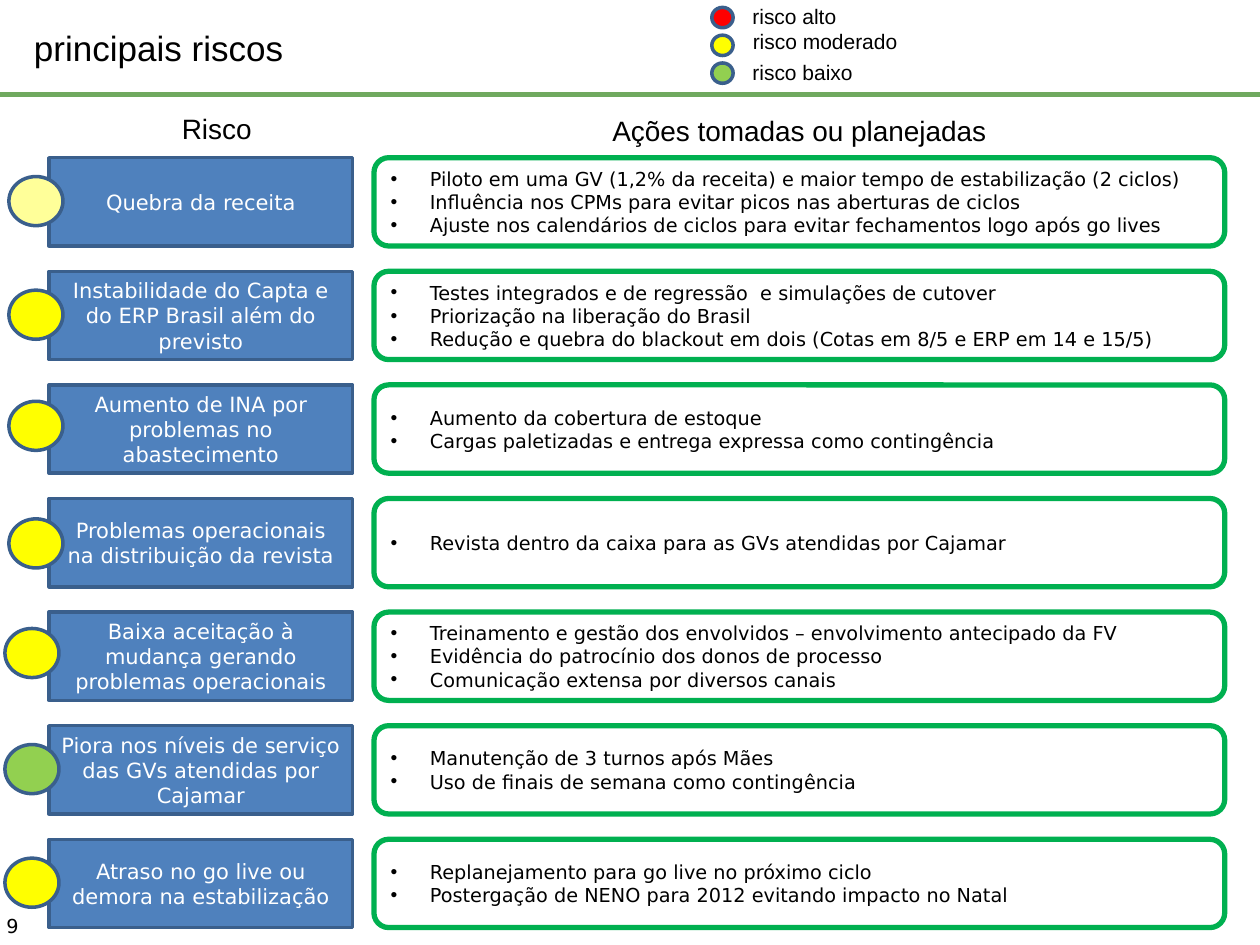
"""Builds the slide of main risks with the actions taken or planned for each."""
import pptx
import pptx.dml.color
import pptx.enum.shapes
import pptx.enum.text
import pptx.oxml
import pptx.oxml.ns
import pptx.util

Cm = pptx.util.Cm
RGBColor = pptx.dml.color.RGBColor
Shape = pptx.enum.shapes.MSO_SHAPE
Align = pptx.enum.text.PP_ALIGN
Anchor = pptx.enum.text.MSO_ANCHOR

BLACK = RGBColor(0x00, 0x00, 0x00)
WHITE = RGBColor(0xFF, 0xFF, 0xFF)
BLUE = RGBColor(0x4F, 0x81, 0xBD)
DARK_BLUE = RGBColor(0x3A, 0x5F, 0x8C)
GREEN = RGBColor(0x00, 0xB0, 0x50)
RULE_GREEN = RGBColor(0x70, 0xA9, 0x5F)
HIGH = RGBColor(0xFF, 0x00, 0x00)
MODERATE = RGBColor(0xFF, 0xFF, 0x00)
PALE_MODERATE = RGBColor(0xFF, 0xFF, 0x99)
LOW = RGBColor(0x92, 0xD0, 0x50)

HEADING_FONT = "Arial"
BODY_FONT = "DejaVu Sans"

FIRST_ROW_TOP, ROW_PITCH, ROW_HEIGHT = 3.18, 2.29, 1.78
RISK_LEFT, RISK_WIDTH = 0.99, 6.12
ACTIONS_LEFT, ACTIONS_WIDTH = 7.54, 17.15

# Each row: risk, level colour, marker left, marker offset from the row top, actions.
ROWS = [
    ("Quebra da receita", PALE_MODERATE, 0.18, 0.38, [
        "Piloto em uma GV (1,2% da receita) e maior tempo de estabilização (2 ciclos)",
        "Influência nos CPMs para evitar picos nas aberturas de ciclos",
        "Ajuste nos calendários de ciclos para evitar fechamentos logo após go lives"]),
    ("Instabilidade do Capta e do ERP Brasil além do previsto", MODERATE, 0.18, 0.38, [
        "Testes integrados e de regressão  e simulações de cutover",
        "Priorização na liberação do Brasil",
        "Redução e quebra do blackout em dois (Cotas em 8/5 e ERP em 14 e 15/5)"]),
    ("Aumento de INA por problemas no abastecimento", MODERATE, 0.18, 0.33, [
        "Aumento da cobertura de estoque",
        "Cargas paletizadas e entrega expressa como contingência"]),
    ("Problemas operacionais na distribuição da revista", MODERATE, 0.18, 0.41, [
        "Revista dentro da caixa para as GVs atendidas por Cajamar"]),
    ("Baixa aceitação à mudança gerando problemas operacionais", MODERATE, 0.1, 0.33, [
        "Treinamento e gestão dos envolvidos – envolvimento antecipado da FV",
        "Evidência do patrocínio dos donos de processo",
        "Comunicação extensa por diversos canais"]),
    ("Piora nos níveis de serviço das GVs atendidas por Cajamar", LOW, 0.1, 0.38, [
        "Manutenção de 3 turnos após Mães",
        "Uso de finais de semana como contingência"]),
    ("Atraso no go live ou demora na estabilização", MODERATE, 0.1, 0.38, [
        "Replanejamento para go live no próximo ciclo",
        "Postergação de NENO para 2012 evitando impacto no Natal"]),
]

LEGEND = [
    ("risco alto", HIGH, -0.05, 2.21),
    ("risco moderado", MODERATE, 0.46, 3.45),
    ("risco baixo", LOW, 1.07, 2.54),
]


def format_text(text_frame, font_name, size, color, alignment):
    for paragraph in text_frame.paragraphs:
        paragraph.alignment = alignment
        for run in paragraph.runs:
            run.font.name = font_name
            run.font.size = pptx.util.Pt(size)
            run.font.color.rgb = color


def add_bullet(paragraph):
    properties = paragraph._p.get_or_add_pPr()
    properties.set("marL", str(Cm(0.79)))
    properties.set("indent", str(-Cm(0.79)))
    namespace = pptx.oxml.ns.nsdecls("a")
    properties.append(pptx.oxml.parse_xml(f'<a:buFont {namespace} typeface="Arial"/>'))
    properties.append(pptx.oxml.parse_xml(f'<a:buChar {namespace} char="•"/>'))


def add_box(slide, kind, left, top, width, height, fill, line, line_width):
    shape = slide.shapes.add_shape(kind, Cm(left), Cm(top), Cm(width), Cm(height))
    shape.shadow.inherit = False
    shape.fill.solid()
    shape.fill.fore_color.rgb = fill
    shape.line.color.rgb = line
    shape.line.width = pptx.util.Pt(line_width)
    shape.text_frame.vertical_anchor = Anchor.MIDDLE
    return shape


def add_marker(slide, left, top, width, height, color):
    add_box(slide, Shape.OVAL, left, top, width, height, color, DARK_BLUE, 2)


def add_label(slide, text, left, top, width, height, font_name, size,
              alignment=Align.CENTER, wrap=True):
    text_box = slide.shapes.add_textbox(Cm(left), Cm(top), Cm(width), Cm(height))
    text_box.text_frame.word_wrap = wrap
    text_box.text_frame.text = text
    format_text(text_box.text_frame, font_name, size, BLACK, alignment)
    return text_box


def add_risk(slide, risk, top):
    shape = add_box(slide, Shape.RECTANGLE, RISK_LEFT, top, RISK_WIDTH, ROW_HEIGHT,
                    BLUE, DARK_BLUE, 2)
    text_frame = shape.text_frame
    text_frame.margin_left = text_frame.margin_right = Cm(0.24)
    text_frame.text = risk
    format_text(text_frame, BODY_FONT, 12, WHITE, Align.CENTER)


def add_actions(slide, actions, top):
    shape = add_box(slide, Shape.ROUNDED_RECTANGLE, ACTIONS_LEFT, top, ACTIONS_WIDTH,
                    ROW_HEIGHT, WHITE, GREEN, 3)
    shape.text_frame.text = "\n".join(actions)
    for paragraph in shape.text_frame.paragraphs:
        add_bullet(paragraph)
    format_text(shape.text_frame, BODY_FONT, 11, BLACK, Align.JUSTIFY)


def add_title(slide, text):
    title = slide.shapes.title
    title.left, title.top, title.width, title.height = Cm(0.43), Cm(0), Cm(24.13), Cm(1.93)
    title.text_frame.text = text
    title.text_frame.auto_size = pptx.enum.text.MSO_AUTO_SIZE.NONE
    title.text_frame.vertical_anchor = Anchor.MIDDLE
    format_text(title.text_frame, HEADING_FONT, 20, BLACK, Align.LEFT)


def add_rule(slide, top):
    rule = slide.shapes.add_connector(pptx.enum.shapes.MSO_CONNECTOR.STRAIGHT,
                                      Cm(0), Cm(top), Cm(25.4), Cm(top))
    rule.line.color.rgb = RULE_GREEN
    rule.line.width = pptx.util.Pt(3)
    namespace = pptx.oxml.ns.nsdecls("a")
    rule._element.spPr.append(pptx.oxml.parse_xml(f"<a:effectLst {namespace}/>"))


def add_page_number(slide, number):
    text_frame = add_label(slide, number, 0, 18.31, 1.27, 0.74, BODY_FONT, 11,
                           Align.LEFT).text_frame
    text_frame.margin_left = text_frame.margin_right = Cm(0.13)
    text_frame.margin_top = text_frame.margin_bottom = Cm(0.13)


def main():
    presentation = pptx.Presentation()
    presentation.slide_width, presentation.slide_height = Cm(25.4), Cm(19.05)
    slide = presentation.slides.add_slide(presentation.slide_layouts.get_by_name("Title Only"))

    add_rule(slide, 1.91)
    add_page_number(slide, "9")
    add_title(slide, "principais riscos")
    add_label(slide, "Risco", 3.2, 2.13, 2.34, 0.94, HEADING_FONT, 16)
    add_label(slide, "Ações tomadas ou planejadas", ACTIONS_LEFT, 2.16, ACTIONS_WIDTH, 0.94,
              HEADING_FONT, 16)

    for index, (risk, color, marker_left, marker_offset, actions) in enumerate(ROWS):
        top = FIRST_ROW_TOP + index * ROW_PITCH
        add_risk(slide, risk, top)
        add_actions(slide, actions, top)
        add_marker(slide, marker_left, top + marker_offset, 1.09, 0.99, color)

    for index, (text, color, top, width) in enumerate(LEGEND):
        add_marker(slide, 14.35, 0.15 + index * 0.56, 0.43, 0.41, color)
        add_label(slide, text, 14.91, top, width, 0.76, HEADING_FONT, 12, wrap=False)

    presentation.save("out.pptx")


if __name__ == "__main__":
    main()
